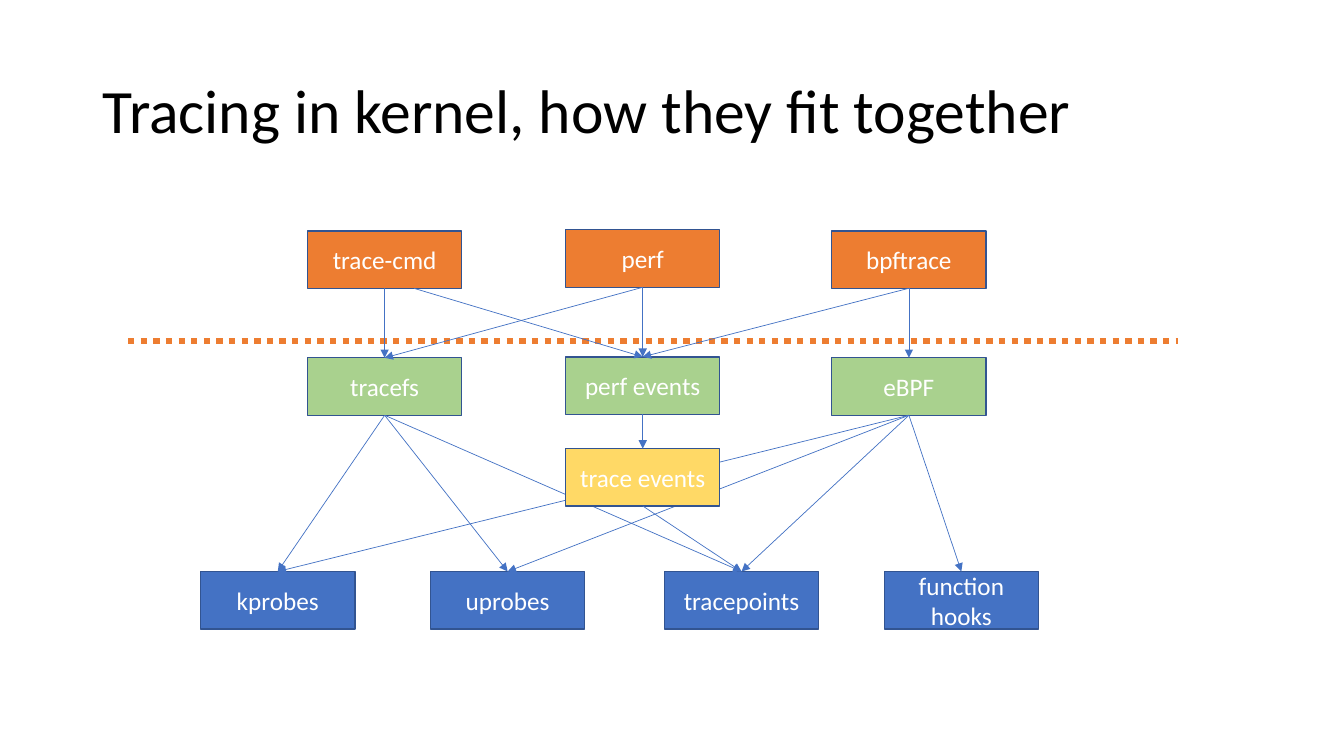
from dataclasses import dataclass

from lxml.etree import SubElement
from pptx import Presentation
from pptx.dml.color import RGBColor
from pptx.enum.dml import MSO_LINE
from pptx.enum.shapes import MSO_CONNECTOR, MSO_SHAPE
from pptx.enum.text import MSO_ANCHOR, MSO_AUTO_SIZE, PP_ALIGN
from pptx.oxml.ns import qn
from pptx.shapes.autoshape import Shape
from pptx.shapes.connector import Connector
from pptx.slide import Slide
from pptx.text.text import TextFrame
from pptx.util import Emu, Pt

PX = 9144  # 100 px to the inch
FONT = "Calibri"
WHITE, BLACK = "FFFFFF", "000000"
BLUE, NAVY = "4472C4", "325491"
GREEN, YELLOW, ORANGE = "A9D18E", "FFD966", "ED7D31"
BOX_W, BOX_H = 153, 57
TOP, BOTTOM = 0, 2


@dataclass
class Box:
    name: str
    left: int
    top: int
    fill: str


@dataclass
class Arrow:
    """Runs from the bottom of one box to the top of another; shift moves its start sideways, unjoined."""
    source: str
    target: str
    shift: int = 0


PROBES = [Box("kprobes", 199, 567, BLUE), Box("uprobes", 427, 567, BLUE),
          Box("tracepoints", 659, 567, BLUE), Box("function hooks", 877, 567, BLUE)]
INTERFACES = [Box("tracefs", 305, 355, GREEN), Box("perf events", 561, 354, GREEN),
              Box("eBPF", 825, 355, GREEN)]
TRACE_EVENTS = [Box("trace events", 561, 445, YELLOW)]
TOOLS = [Box("perf", 561, 228, ORANGE), Box("bpftrace", 825, 229, ORANGE),
         Box("trace-cmd", 305, 229, ORANGE)]

PROBE_ARROWS = [Arrow("tracefs", "kprobes"), Arrow("tracefs", "uprobes"),
                Arrow("tracefs", "tracepoints"), Arrow("eBPF", "kprobes"),
                Arrow("eBPF", "uprobes"), Arrow("eBPF", "function hooks"),
                Arrow("eBPF", "tracepoints")]
EVENT_ARROWS = [Arrow("trace events", "tracepoints"), Arrow("perf events", "trace events")]
TOOL_ARROWS = [Arrow("trace-cmd", "tracefs"), Arrow("trace-cmd", "perf events", 29),
               Arrow("perf", "tracefs"), Arrow("perf", "perf events"),
               Arrow("bpftrace", "eBPF"), Arrow("bpftrace", "perf events")]


def px(n: int) -> Emu:
    return Emu(n * PX)


def rgb(color: str) -> RGBColor:
    return RGBColor.from_string(color)


def write(tf: TextFrame, text: str, size: int, color: str, align: PP_ALIGN) -> None:
    tf.word_wrap = True
    tf.auto_size = MSO_AUTO_SIZE.NONE
    tf.vertical_anchor = MSO_ANCHOR.MIDDLE
    p = tf.paragraphs[0]
    p.alignment = align
    r = p.add_run()
    r.text = text
    r.font.name = FONT
    r.font.size = Pt(size)
    r.font.color.rgb = rgb(color)


def add_title(s: Slide, text: str) -> None:
    title = s.shapes.title
    title.left, title.top, title.width, title.height = px(92), px(40), px(1150), px(145)
    write(title.text_frame, text, 44, BLACK, PP_ALIGN.LEFT)
    title.text_frame.paragraphs[0].line_spacing = 0.9


def add_boxes(s: Slide, boxes: list[Box], drawn: dict[str, Shape]) -> None:
    """Draw the boxes and record each shape under its name."""
    for box in boxes:
        sp = s.shapes.add_shape(MSO_SHAPE.RECTANGLE, px(box.left), px(box.top),
                                px(BOX_W), px(BOX_H))
        sp.shadow.inherit = False
        sp.fill.solid()
        sp.fill.fore_color.rgb = rgb(box.fill)
        sp.line.color.rgb = rgb(NAVY)
        sp.line.width = Pt(1)
        write(sp.text_frame, box.name, 18, WHITE, PP_ALIGN.CENTER)
        drawn[box.name] = sp


def add_line(s: Slide, x1: int, y1: int, x2: int, y2: int, color: str, width: float) -> Connector:
    line = s.shapes.add_connector(MSO_CONNECTOR.STRAIGHT, Emu(x1), Emu(y1), Emu(x2), Emu(y2))
    line.line.color.rgb = rgb(color)
    line.line.width = Pt(width)
    SubElement(line._element.spPr, qn("a:effectLst"))
    return line


def add_arrows(s: Slide, arrows: list[Arrow], drawn: dict[str, Shape]) -> None:
    for arrow in arrows:
        source, target = drawn[arrow.source], drawn[arrow.target]
        line = add_line(s, source.left + source.width // 2 + px(arrow.shift),
                        source.top + source.height,
                        target.left + target.width // 2, target.top, BLUE, 0.5)
        if not arrow.shift:
            line.begin_connect(source, BOTTOM)
        line.end_connect(target, TOP)
        SubElement(line.line._get_or_add_ln(), qn("a:tailEnd"), type="triangle")


def main() -> None:
    prs = Presentation()
    prs.slide_width, prs.slide_height = px(1333), px(750)
    s = prs.slides.add_slide(prs.slide_layouts.get_by_name("Title Only"))
    add_title(s, "Tracing in kernel, how they fit together")

    drawn: dict[str, Shape] = {}
    add_boxes(s, PROBES + INTERFACES, drawn)
    add_arrows(s, PROBE_ARROWS, drawn)
    add_boxes(s, TRACE_EVENTS, drawn)
    add_arrows(s, EVENT_ARROWS, drawn)

    divider = add_line(s, px(127), px(338), px(1168), px(338), ORANGE, 4.5)
    divider.line.dash_style = MSO_LINE.ROUND_DOT
    divider.line._get_or_add_ln().find(qn("a:prstDash")).set("val", "sysDot")

    add_boxes(s, TOOLS, drawn)
    add_arrows(s, TOOL_ARROWS, drawn)
    prs.save("out.pptx")


if __name__ == "__main__":
    main()
